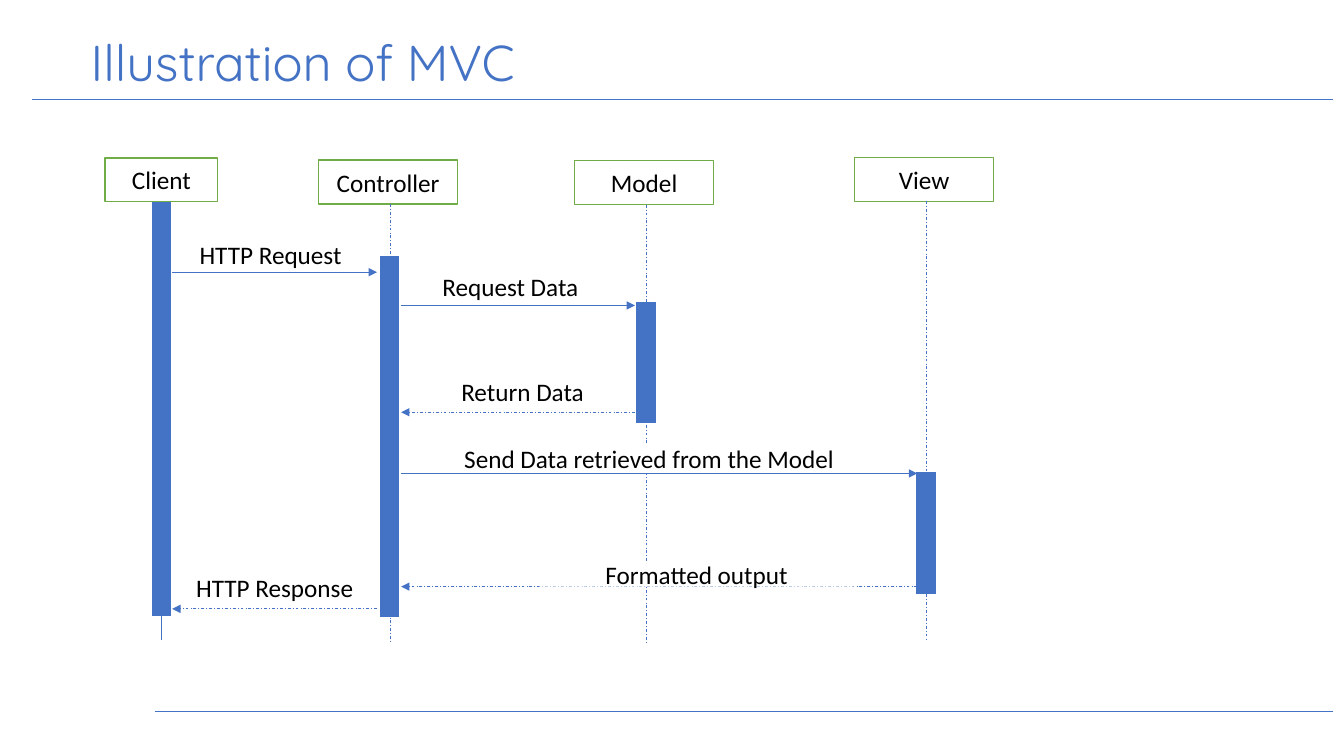
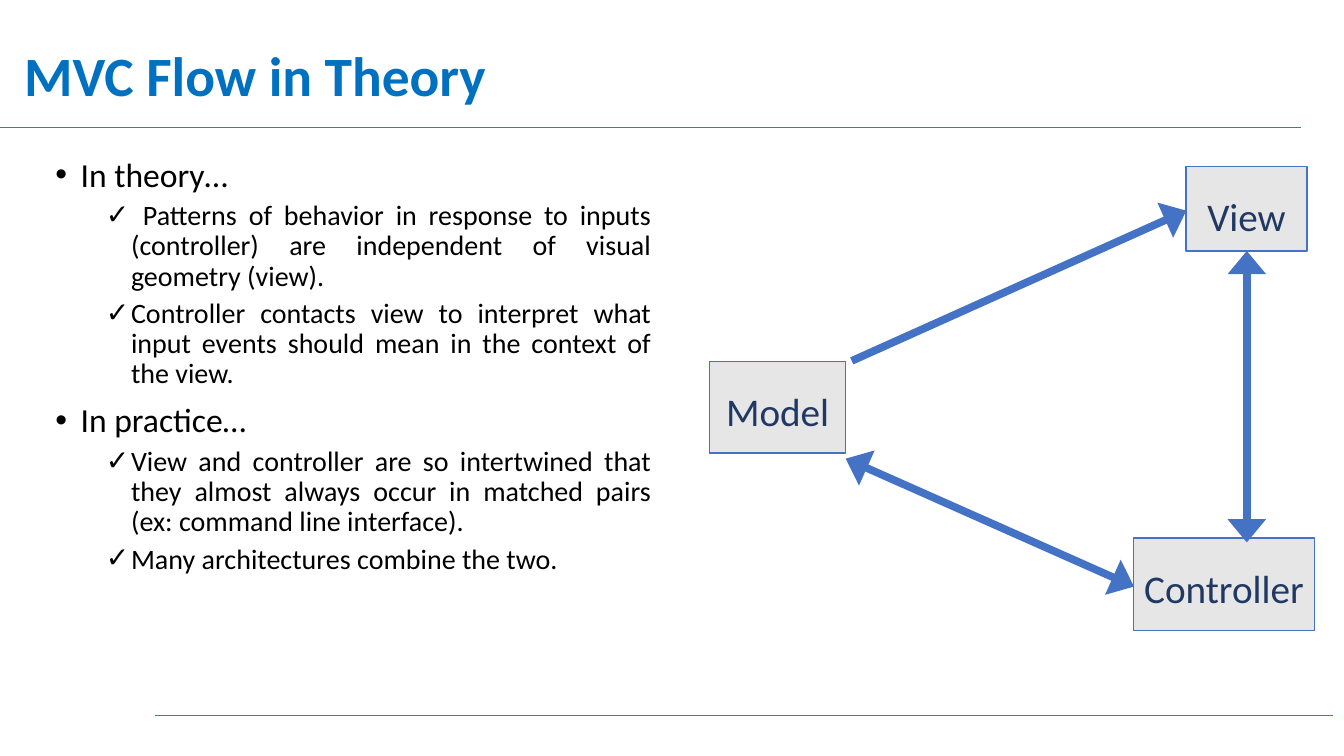
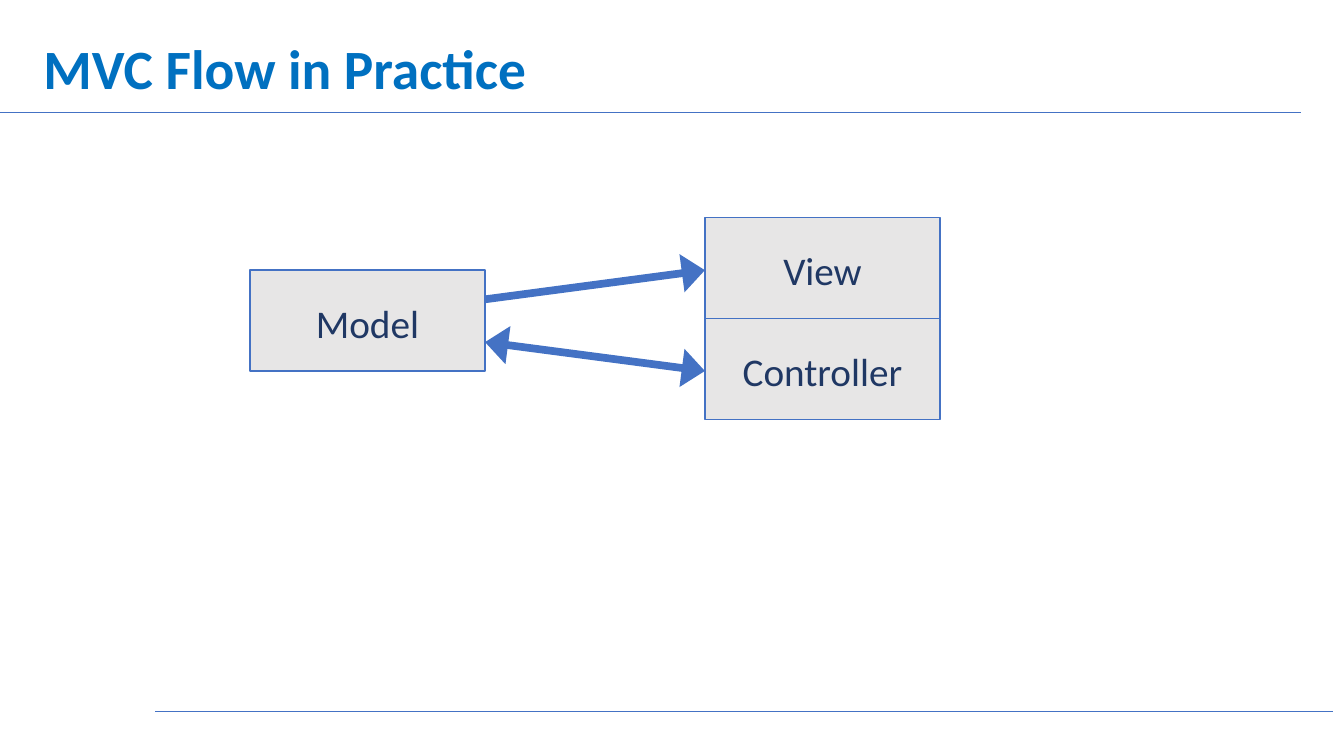
from lxml.etree import SubElement
from pptx import Presentation
from pptx.dml.color import RGBColor
from pptx.enum.dml import MSO_LINE
from pptx.enum.shapes import MSO_CONNECTOR, MSO_SHAPE
from pptx.enum.text import MSO_ANCHOR as ANCHOR, MSO_AUTO_SIZE, PP_ALIGN as ALIGN
from pptx.oxml.ns import qn
from pptx.util import Pt

BLUE = RGBColor(0x44, 0x72, 0xC4)
BRIGHT_BLUE = RGBColor(0x00, 0x70, 0xC0)
NAVY = RGBColor(0x20, 0x38, 0x64)
GREEN = RGBColor(0x70, 0xAD, 0x47)
GREY = RGBColor(0xE7, 0xE6, 0xE6)
WHITE = RGBColor(0xFF, 0xFF, 0xFF)
BLACK = RGBColor(0x00, 0x00, 0x00)

TITLE_ONLY, TITLE_AND_BODY = 5, 1
RULE_LENGTH = 929
THIN, BAR, THICK = 0.5, 13.75, 5.5


class Deck:
    """Hold the shared style and the current slide, and draw each kind of element."""

    def __init__(self):
        self.prs = Presentation()
        self.prs.slide_width, self.prs.slide_height = Pt(960), Pt(540)
        self.slide = None

    def new_slide(self, title, box, header, footer_top, layout=TITLE_ONLY,
                  font="Calibri", size=39.6, color=BRIGHT_BLUE, bold=True):
        self.slide = self.prs.slides.add_slide(self.prs.slide_layouts[layout])
        heading = self.slide.shapes.title
        self.place(heading, box)
        heading.text_frame.vertical_anchor = ANCHOR.MIDDLE
        paragraph = heading.text_frame.paragraphs[0]
        paragraph.alignment, paragraph.line_spacing = ALIGN.LEFT, 0.9
        self.run(paragraph, title, size, color, font, bold)
        left, top = header
        self.line((left, top), (left + RULE_LENGTH, top))
        self.line((111, footer_top), (952, footer_top))

    def place(self, holder, box):
        holder.left, holder.top, holder.width, holder.height = map(Pt, box)
        holder.text_frame.word_wrap = True
        holder.text_frame.auto_size = MSO_AUTO_SIZE.NONE

    def run(self, paragraph, text, size, color, font="Calibri", bold=False):
        run = paragraph.add_run()
        run.text = text
        run.font.name, run.font.size, run.font.bold = font, Pt(size), bold
        run.font.color.rgb = color

    def line(self, start, end, width=THIN, dashed=False, head=None, tail=None):
        line = self.slide.shapes.add_connector(
            MSO_CONNECTOR.STRAIGHT, *map(Pt, (*start, *end)))
        line.line.color.rgb = BLUE
        line.line.width = Pt(width)
        if dashed:
            line.line.dash_style = MSO_LINE.DASH_DOT
        outline = line.line._get_or_add_ln()
        for tag, breadth in (("a:headEnd", head), ("a:tailEnd", tail)):
            if breadth:
                SubElement(outline, qn(tag), type="triangle", w=breadth, len="med")
        SubElement(line._element.spPr, qn("a:effectLst"))

    def box(self, text, box, fill=WHITE, border=None, size=18, color=BLACK,
            text_top=None):
        shape = self.slide.shapes.add_shape(MSO_SHAPE.RECTANGLE, *map(Pt, box))
        shape.shadow.inherit = False
        shape.fill.solid()
        shape.fill.fore_color.rgb = fill
        if border is None:
            shape.line.fill.background()
        else:
            shape.line.color.rgb = border
            shape.line.width = Pt(1)
        frame = shape.text_frame
        frame.word_wrap = True
        frame.vertical_anchor = ANCHOR.MIDDLE
        if text_top is not None:
            frame.vertical_anchor = ANCHOR.TOP
            frame.margin_top = Pt(text_top)
            frame.margin_left = frame.margin_right = 0
        frame.paragraphs[0].alignment = ALIGN.CENTER
        self.run(frame.paragraphs[0], text, size, color)

    def component(self, text, box, text_top):
        self.box(text, box, GREY, BLUE, 28, NAVY, text_top)

    def participant(self, name, box, axis, bar, end, dashed=True):
        self.box(name, box, border=GREEN)
        self.line((axis, box[1] + box[3]), (axis, end), dashed=dashed)
        self.line((axis, bar[0]), (axis, bar[1]), BAR)

    def message(self, text, start, end, top, label):
        self.line((start, top), (end, top), dashed=end < start, tail="med")
        self.box(text, label)

    def flow(self, start, end, both=True):
        self.line(start, end, THICK, head="lg" if both else None, tail="lg")

    def bullets(self, box, items):
        body = self.slide.placeholders[1]
        self.place(body, box)
        frame = body.text_frame
        for index, (level, text) in enumerate(items):
            paragraph = frame.add_paragraph() if index else frame.paragraphs[0]
            paragraph.level = level
            paragraph.alignment = ALIGN.JUSTIFY
            paragraph.line_spacing = 0.9
            paragraph.space_before = Pt((10, 5)[level])
            properties = paragraph._p.get_or_add_pPr()
            properties.set("marL", str(Pt((18, 54)[level])))
            properties.set("indent", str(Pt(-18)))
            SubElement(properties, qn("a:buFont"), typeface="Arial")
            SubElement(properties, qn("a:buChar"), char="•✓"[level])
            self.run(paragraph, text, (24, 20)[level], BLACK)


def illustration(deck):
    deck.new_slide("Illustration of MVC", (57.6, 27.4, 828, 38.2), (23, 71.3), 508.3,
                   font="Quicksand", size=36, color=BLUE, bold=False)
    deck.participant("Client", (75, 113, 80.6, 31), 115.5, (144, 440), 457.2, False)
    for name, left, top, axis, bar, end in (
            ("Controller", 227.5, 114.2, 278.5, (183, 440.6), 459.4),
            ("Model", 410.4, 114.7, 461.5, (215.4, 302.4), 459.4),
            ("View", 610.4, 112.4, 661.5, (337, 424), 457.2)):
        deck.participant(name, (left, top, 99.4, 31.5), axis, bar, end)
    client, controller_left, controller_right, model, view = 123, 269.3, 286.5, 453.6, 655.2
    for message in (
            ("HTTP Request", client, controller_left, 194.4, (125.3, 170, 136, 23.8)),
            ("Request Data", controller_right, model, 218.2, (296.6, 193, 136, 23.8)),
            ("Send Data retrieved from the Model", controller_right, view, 338.2,
             (316.8, 317.5, 293.8, 20.2)),
            ("Return Data", model, controller_right, 294.5, (305.3, 267.8, 136, 23.8)),
            ("Formatted output", view, controller_right, 419, (385.2, 401.8, 224.6, 17.3)),
            ("HTTP Response", controller_left, client, 434.9, (128.2, 407.5, 136, 23.8))):
        deck.message(*message)


def theory(deck):
    deck.new_slide("MVC Flow in Theory", (10, 37.4, 828, 37.4), (0, 90.7), 511.2,
                   layout=TITLE_AND_BODY)
    for name, box in (("Model", (506.9, 258, 97.2, 65.5)),
                      ("View", (847.2, 118.8, 86.4, 60.5)),
                      ("Controller", (809.8, 384.2, 129, 66.2))):
        deck.component(name, box, 18.7)
    deck.flow((608.4, 257.8), (847.4, 150.5), both=False)
    deck.flow((810, 419), (604.1, 327.6))
    deck.flow((890.6, 387.4), (890.6, 179.3))
    deck.bullets((32.4, 109.4, 440, 379.4), (
        (0, "In theory…"),
        (1, " Patterns of behavior in response to inputs (controller) are "
            "independent of visual geometry (view)."),
        (1, "Controller contacts view to interpret what input events should "
            "mean in the context of the view."),
        (0, "In practice…"),
        (1, "View and controller are so intertwined that they almost always "
            "occur in matched pairs (ex: command line interface)."),
        (1, "Many architectures combine the two.")))


def practice(deck):
    deck.new_slide("MVC Flow in Practice", (23.8, 28, 828, 46.8), (0, 80.6), 508.3)
    width, height = 168, 72
    model_left, view_left, view_top = 178.5, 503.5, 155.5
    model_right = model_left + width
    for name, left, top in (("Model", model_left, 193),
                            ("View", view_left, view_top),
                            ("Controller", view_left, view_top + height)):
        deck.component(name, (left, top, width, height), 20.5)
    deck.flow((model_right, 213.8), (view_left, 193), both=False)
    deck.flow((view_left, 265), (model_right, 244.4))


def main():
    deck = Deck()
    for build in (illustration, theory, practice):
        build(deck)
    deck.prs.save("out.pptx")


if __name__ == "__main__":
    main()
